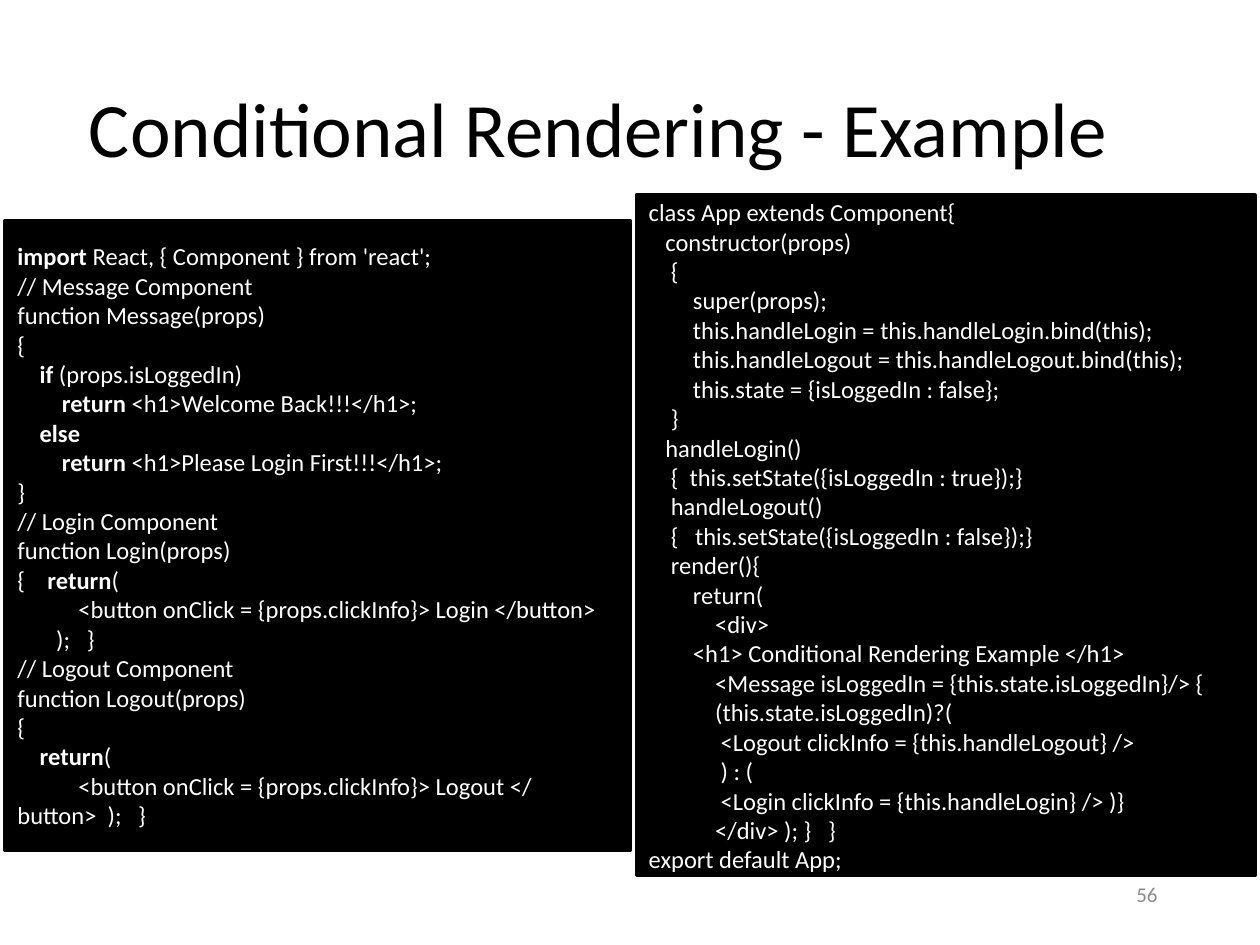
from pptx import Presentation
from pptx.dml.color import RGBColor
from pptx.enum.shapes import MSO_SHAPE
from pptx.enum.text import MSO_ANCHOR, PP_ALIGN
from pptx.util import Inches, Pt

RECT = MSO_SHAPE.RECTANGLE
MIDDLE = MSO_ANCHOR.MIDDLE
LEFT, CENTER = PP_ALIGN.LEFT, PP_ALIGN.CENTER
HARD = chr(160)  # no-break space

# Keywords between ** marks are bold.
PARTS = """\
**import** React, { Component } from 'react';
// Message Component
function Message(props)
{
    **if** (props.isLoggedIn)
        **return** <h1>Welcome Back!!!</h1>;
    **else**
        **return** <h1>Please Login First!!!</h1>;
}
// Login Component
function Login(props)
{    **return**(
           <button onClick = {props.clickInfo}> Login </button>
       );   }
// Logout Component
function Logout(props)
{
    **return**(
           <button onClick = {props.clickInfo}> Logout </button>  );   }"""

APP = """\
class App extends Component{
   constructor(props)
    {
        super(props);
        this.handleLogin = this.handleLogin.bind(this);
        this.handleLogout = this.handleLogout.bind(this);
        this.state = {isLoggedIn : false};
    }
   handleLogin()
    {  this.setState({isLoggedIn : true});}
    handleLogout()
    {   this.setState({isLoggedIn : false});}
    render(){
        return(
            <div>
        <h1> Conditional Rendering Example </h1>
            <Message isLoggedIn = {this.state.isLoggedIn}/> {
            (this.state.isLoggedIn)?(
             <Logout clickInfo = {this.handleLogout} />
             ) : (
             <Login clickInfo = {this.handleLogin} /> )}
            </div> ); }   }
export default App;"""


def color(code):
    return RGBColor.from_string(code)


def write(frame, text, size, code, align):
    """Fill a text frame line by line, with bold between ** marks."""
    frame.word_wrap = True
    frame.vertical_anchor = MIDDLE
    for i, line in enumerate(text.split("\n")):
        para = frame.add_paragraph() if i else frame.paragraphs[0]
        para.alignment = align
        for j, part in enumerate(line.split("**")):
            if not part:
                continue
            run = para.add_run()
            run.text = part
            look = {"name": "Calibri", "size": Pt(size), "bold": j % 2 == 1}
            for key, value in look.items():
                setattr(run.font, key, value)
            run.font.color.rgb = color(code)


deck = Presentation()
deck.slide_width, deck.slide_height = Inches(10), Inches(7.5)
slide = deck.slides.add_slide(deck.slide_layouts[5])

title = slide.shapes.title
place = {"left": 0.44, "top": 0.46, "width": 8.62, "height": 1.09}
for key, value in place.items():
    setattr(title, key, Inches(value))
write(title.text_frame, "Conditional Rendering - Example", 44, "000000", CENTER)

panels = [
    (PARTS.replace(" ", HARD), (0.04, 1.75, 4.96, 5)),
    (APP, (5.05, 1.55, 4.91, 5.4)),
]
for code, area in panels:
    panel = slide.shapes.add_shape(RECT, *map(Inches, area))
    panel.shadow.inherit = False
    panel.fill.solid()
    panel.fill.fore_color.rgb = color("000000")
    panel.line.color.rgb = color("000000")
    panel.line.width = Pt(2)
    write(panel.text_frame, code, 14, "FFFFFF", LEFT)

number = slide.shapes.add_textbox(*map(Inches, (8.92, 6.9, 0.58, 0.4)))
write(number.text_frame, "56", 12, "8C8C8C", LEFT)

deck.save("out.pptx")
